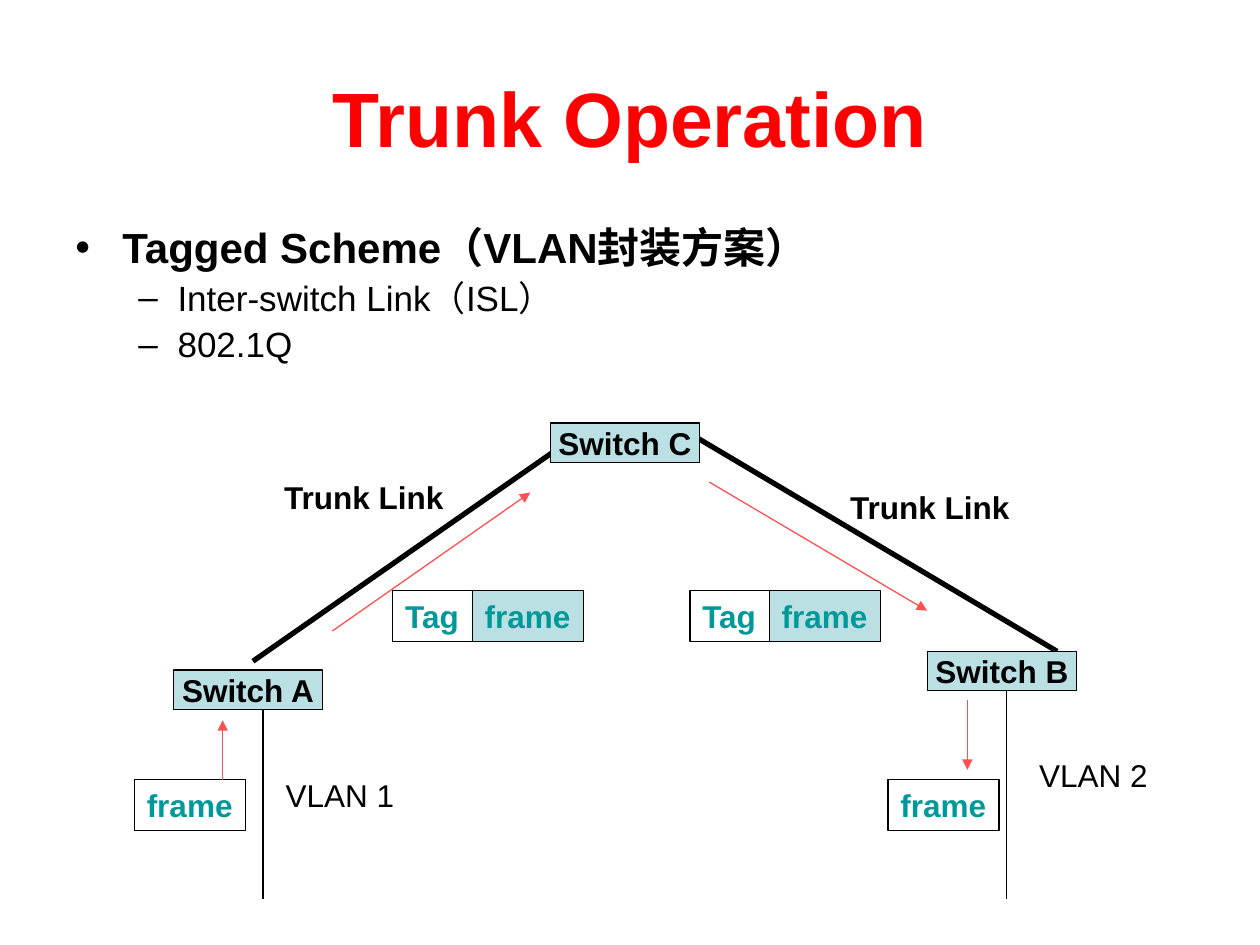
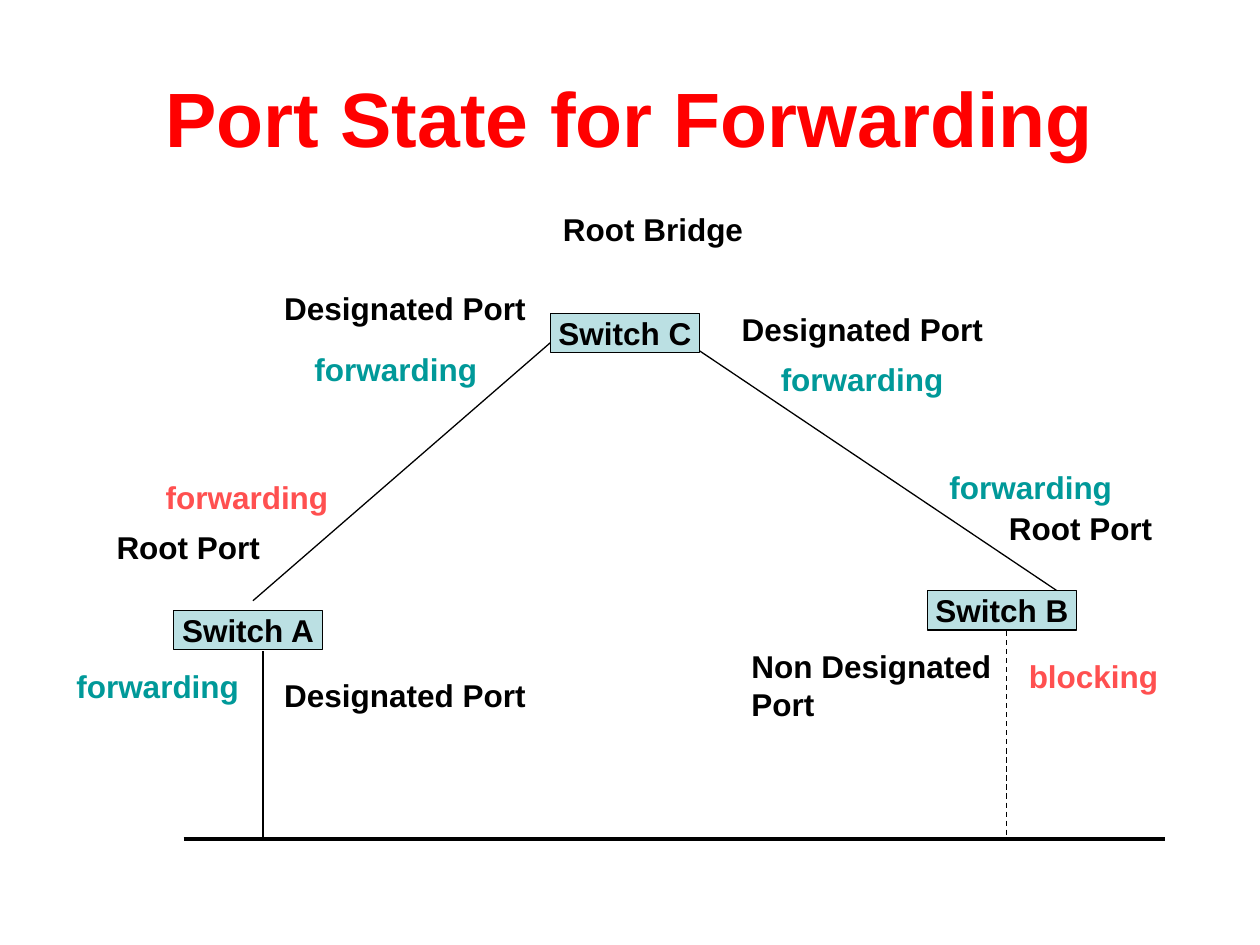
from lxml import etree
from pptx import Presentation
from pptx.dml.color import RGBColor
from pptx.enum.dml import MSO_LINE
from pptx.enum.shapes import MSO_CONNECTOR, MSO_SHAPE
from pptx.enum.text import MSO_ANCHOR, MSO_AUTO_SIZE, PP_ALIGN
from pptx.oxml.ns import qn
from pptx.util import Cm, Pt

STRAIGHT = MSO_CONNECTOR.STRAIGHT
RECT = MSO_SHAPE.RECTANGLE
DASH = MSO_LINE.DASH
TOP, MIDDLE = MSO_ANCHOR.TOP, MSO_ANCHOR.MIDDLE
LEFT, CENTER = PP_ALIGN.LEFT, PP_ALIGN.CENTER
NO_AUTOFIT = MSO_AUTO_SIZE.NONE

COLORS = {"title": "FF0000", "text": "000000", "switch": "BBE0E3",
          "teal": "009999", "red": "FF5050"}
FONT = "Arial"
TITLE_BOX = (1.27, 0.76, 22.86, 3.18)
BODY_BOX = (1.27, 4.45, 22.86, 3.07)
SWITCH_W, SWITCH_H, SWITCH_STEP = 3, 0.79, 7.6
LABEL_H = 1.02
TAG_W, FRAME_W = 1.6, 2.24
WIDTHS = {"Trunk Link": 3.81, "Root Port": 3.81, "Designated Port": 5.41,
          "Non Designated Port": 5.41, "Root Bridge": 5.41,
          "forwarding": 3.78, "blocking": 3.12, "VLAN 1": 2.69, "VLAN 2": 2.69}


def rgb(name):
    return RGBColor.from_string(COLORS[name])


def add_run(p, text, size=18, color="text", bold=True):
    r = p.add_run()
    r.text = text
    r.font.name = FONT
    r.font.size = Pt(size)
    r.font.bold = bold
    r.font.color.rgb = rgb(color)


def set_frame(sp, wrap, anchor=TOP):
    tf = sp.text_frame
    tf.auto_size = NO_AUTOFIT
    tf.word_wrap = wrap
    tf.vertical_anchor = anchor
    return tf


def add_title(slide, text):
    sp = slide.shapes.title
    sp.left, sp.top, sp.width, sp.height = map(Cm, TITLE_BOX)
    p = set_frame(sp, True, MIDDLE).paragraphs[0]
    p.alignment = CENTER
    add_run(p, text, 44, "title")


def add_bullets(slide, box, items):
    sp = slide.shapes.add_textbox(*map(Cm, box))
    tf = set_frame(sp, True)
    styles = [("•", 0.95, 0.95, 24, 6), ("–", 2.06, 0.79, 20, 5)]
    for i, (level, text) in enumerate(items):
        mark, margin, hang, size, before = styles[level]
        p = tf.add_paragraph() if i else tf.paragraphs[0]
        p.level = level
        p.line_spacing = 0.9
        p.space_before = Pt(before)
        pPr = p._p.get_or_add_pPr()
        pPr.set("marL", str(Cm(margin)))
        pPr.set("indent", str(-Cm(hang)))
        etree.SubElement(pPr, qn("a:buFont")).set("typeface", FONT)
        etree.SubElement(pPr, qn("a:buChar")).set("char", mark)
        add_run(p, text, size, bold=level == 0)


class Diagram:
    def __init__(self, slide, left, top):
        self.shapes = slide.shapes
        self.left, self.top = left, top

    def at(self, x, y):
        return Cm(self.left + x), Cm(self.top + y)

    def line(self, start, end, width=0.75, color="text", dash=None, arrow=False):
        c = self.shapes.add_connector(STRAIGHT, *self.at(*start), *self.at(*end))
        c.line.width = Pt(width)
        c.line.color.rgb = rgb(color)
        if dash:
            c.line.dash_style = dash
        if arrow:
            ln = c.line._get_or_add_ln()
            etree.SubElement(ln, qn("a:tailEnd")).set("type", "triangle")
        etree.SubElement(c._element.spPr, qn("a:effectLst"))

    def arrow(self, start, end):
        self.line(start, end, color="red", arrow=True)

    def block(self, x, y, w, h, text, fill=None, color="teal", anchor=TOP, align=LEFT):
        sp = self.shapes.add_shape(RECT, *self.at(x, y), Cm(w), Cm(h))
        sp.shadow.inherit = False
        if fill:
            sp.fill.solid()
            sp.fill.fore_color.rgb = rgb(fill)
        else:
            sp.fill.background()
        sp.line.width = Pt(0.75)
        sp.line.color.rgb = rgb("text")
        p = set_frame(sp, False, anchor).paragraphs[0]
        p.alignment = align
        add_run(p, text, color=color)

    def switches(self, tops):
        for i, (name, y) in enumerate(zip("ACB", tops)):
            self.block(i * SWITCH_STEP, y, SWITCH_W, SWITCH_H, f"Switch {name}",
                       "switch", "text", MIDDLE, CENTER)

    def frame(self, x, y, fill=None):
        self.block(x, y, FRAME_W, LABEL_H, "frame", fill)

    def tagged_frame(self, x, y):
        self.block(x, y, TAG_W, LABEL_H, "Tag")
        self.frame(x + TAG_W, y, "switch")

    def label(self, x, y, text, color="text", bold=True):
        sp = self.shapes.add_textbox(*self.at(x, y), Cm(WIDTHS[text]), Cm(LABEL_H))
        wrap = bold and color == "text"
        add_run(set_frame(sp, wrap).paragraphs[0], text, color=color, bold=bold)


def trunk_diagram(slide, left, top):
    d = Diagram(slide, left, top)
    d.line((8.2, 0.2), (1.6, 4.8), 3)
    d.line((10.39, 0.2), (17.81, 4.6), 3)
    d.line((1.8, 5.79), (1.8, 9.6))
    d.line((16.79, 5.38), (16.79, 9.6))
    d.switches((4.98, 0, 4.6))
    for x in (-0.79, 14.4):
        d.frame(x, 7.19)
    for x in (4.42, 10.41):
        d.tagged_frame(x, 3.38)
    d.arrow((0.99, 7.19), (0.99, 5.99))
    d.arrow((3.2, 4.19), (7.19, 1.4))
    d.arrow((10.8, 1.19), (15.19, 3.78))
    d.arrow((16, 5.59), (16, 6.99))
    d.label(1.98, 0.99, "Trunk Link")
    d.label(13.39, 1.19, "Trunk Link")
    d.label(2.01, 6.99, "VLAN 1", bold=False)
    d.label(17.2, 6.58, "VLAN 2", bold=False)


def port_state_diagram(slide, left, top):
    d = Diagram(slide, left, top)
    d.line((7.8, 0.41), (1.6, 5.79))
    d.line((10.39, 0.61), (17.81, 5.59))
    d.line((0.2, 10.59), (19.99, 10.59), 2.25)
    d.line((1.8, 6.81), (1.8, 10.59))
    d.line((16.79, 6.4), (16.79, 10.59), dash=DASH)
    d.switches((5.99, 0, 5.59))
    for x, y, role in [
        (7.6, -2.21, "Root Bridge"),
        (1.98, -0.61, "Designated Port"),
        (11.2, -0.2, "Designated Port"),
        (-1.4, 4.19, "Root Port"),
        (16.59, 3.81, "Root Port"),
        (1.98, 7.19, "Designated Port"),
        (11.4, 6.6, "Non Designated Port"),
    ]:
        d.label(x, y, role)
    for x, y, state, color in [
        (2.59, 0.61, "forwarding", "teal"),
        (11.99, 0.81, "forwarding", "teal"),
        (-0.41, 3.2, "forwarding", "red"),
        (15.39, 3, "forwarding", "teal"),
        (-2.21, 7.01, "forwarding", "teal"),
        (16.99, 6.81, "blocking", "red"),
    ]:
        d.label(x, y, state, color)


def main():
    prs = Presentation()
    prs.slide_width, prs.slide_height = Cm(25.4), Cm(19.05)
    title_only = prs.slide_layouts[5]

    s = prs.slides.add_slide(title_only)
    add_title(s, "Trunk Operation")
    add_bullets(s, BODY_BOX, [(0, "Tagged Scheme（VLAN封装方案）"),
                              (1, "Inter-switch Link（ISL）"),
                              (1, "802.1Q")])
    trunk_diagram(s, 3.5, 8.53)

    s = prs.slides.add_slide(title_only)
    add_title(s, "Port State for Forwarding")
    port_state_diagram(s, 3.5, 6.32)

    prs.save("out.pptx")


if __name__ == "__main__":
    main()
